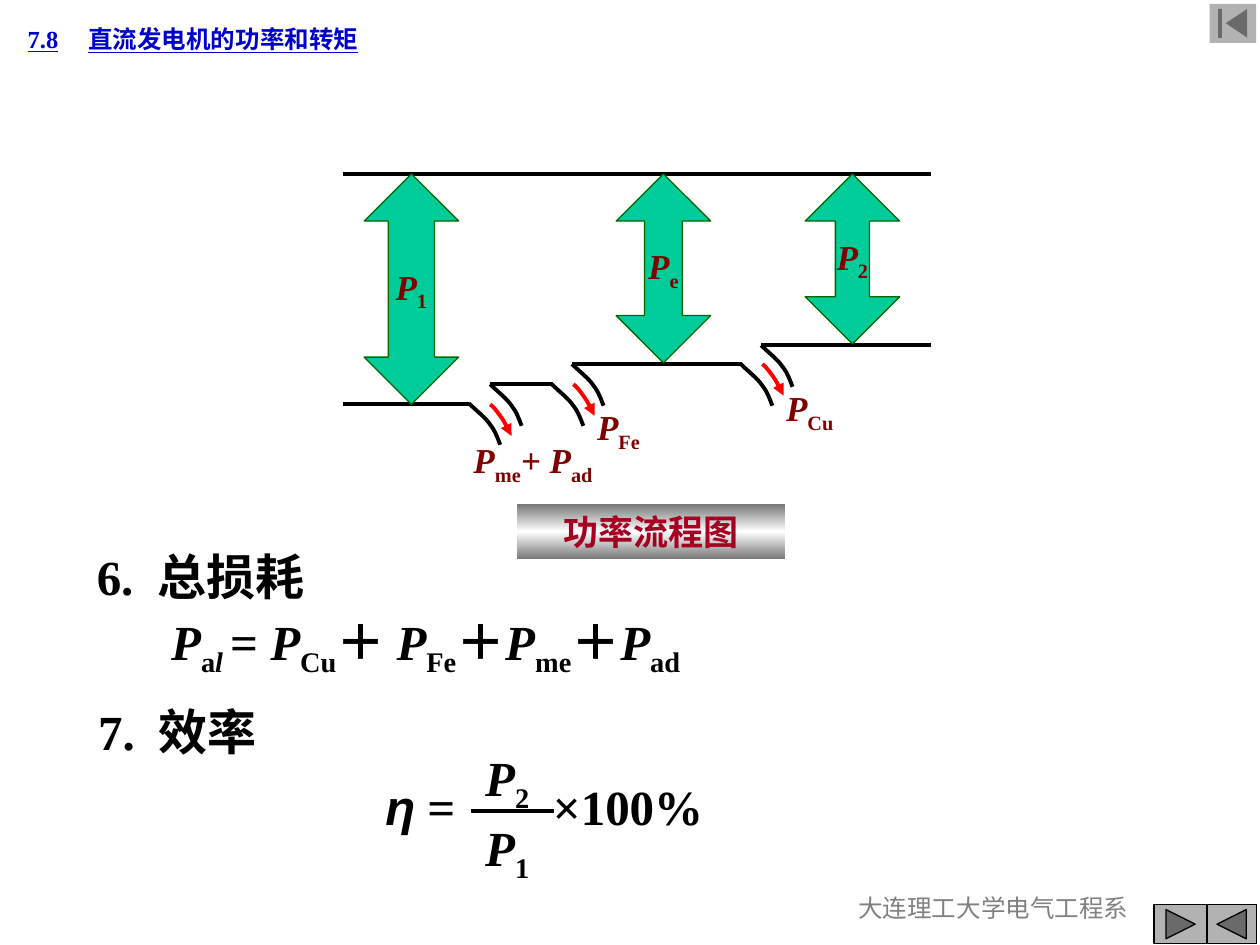
from copy import deepcopy

from lxml import etree
from pptx import Presentation
from pptx import util as u
from pptx.dml.color import RGBColor
from pptx.enum import shapes, text
from pptx.oxml.ns import qn

COLORS = {
    "ink": "000000", "label": "800000", "caption": "A50021", "title": "0000CC",
    "footer": "808080", "power": "00CC99", "power_edge": "006600",
    "loss": "FF0000", "button": "B2B2B2", "metal": "767676", "shine": "FFFFFF",
}
COLUMNS, ROWS = 100, 75
LEFT, CENTER = text.PP_ALIGN.LEFT, text.PP_ALIGN.CENTER
TOP, MIDDLE = text.MSO_ANCHOR.TOP, text.MSO_ANCHOR.MIDDLE

# Two joined cubic curves, as column and row offsets from the start.
EDGE_CURVE = [(0, 0), (0.6, 0.6), (1.3, 1.1), (1.7, 1.7), (2.1, 2.2), (2.3, 2.8), (2.5, 3.3)]
LOSS_CURVE = [(0, 0), (0.3, 0.2), (0.5, 0.5), (0.8, 0.9), (1.1, 1.3), (1.4, 1.9), (1.7, 2.5)]


def color(name):
    return RGBColor.from_string(COLORS[name])


def curve_points(controls, steps=8):
    """Sample joined cubic curves that share their end points."""
    points = [controls[0]]
    for first in range(0, len(controls) - 1, 3):
        for step in range(1, steps + 1):
            t = step / steps
            weights = ((1 - t) ** 3, 3 * t * (1 - t) ** 2, 3 * t * t * (1 - t), t ** 3)
            part = controls[first:first + 4]
            points.append(tuple(sum(w * p[axis] for w, p in zip(weights, part))
                                for axis in (0, 1)))
    return points


def quantity(symbol, index):
    """Spans of an italic symbol with an upright subscript."""
    return [(symbol, "i"), (index, "_")]


class Slide:
    font = "Times New Roman"

    def __init__(self, deck):
        self.page = deck.slides.add_slide(deck.slide_layouts[5])
        self.column = deck.slide_width / COLUMNS
        self.row = deck.slide_height / ROWS

    def place(self, *cells):
        """Turn alternating columns and rows into lengths."""
        return [u.Emu(round(cell * (self.row if i % 2 else self.column)))
                for i, cell in enumerate(cells)]

    def set_text(self, shape, paragraphs, size, ink, bold=True, align=LEFT, anchor=TOP,
                 wrap=True, gap=0, tab=None, indents=(), underline=None):
        """Fill a shape; each paragraph is a list of (text, marks) spans."""
        frame = shape.text_frame
        frame.word_wrap, frame.vertical_anchor = wrap, anchor
        frame.auto_size = text.MSO_AUTO_SIZE.NONE
        for number, spans in enumerate(paragraphs):
            para = frame.add_paragraph() if number else frame.paragraphs[0]
            para.alignment = align
            properties = para._p.get_or_add_pPr()
            if number < len(indents):
                properties.set("marL", str(self.place(indents[number])[0]))
            if tab:
                stops = etree.SubElement(properties, qn("a:tabLst"))
                etree.SubElement(stops, qn("a:tab"), pos=str(self.place(tab)[0]), algn="l")
            if number:
                para.space_before = u.Pt(gap)
            for words, marks in spans:
                span = para.add_run()
                span.text = words
                font = span.font
                font.name = "Arial" if "A" in marks else self.font
                font.size, font.bold = u.Pt(size), bold
                font.italic, font.underline = "i" in marks, underline
                font.color.rgb = color(ink)
                if "_" in marks:
                    span._r.get_or_add_rPr().set("baseline", "-25000")

    def title(self, cells, words, **style):
        box = self.page.shapes.title
        box.left, box.top, box.width, box.height = self.place(*cells)
        self.set_text(box, [[(words, "")]], **style)

    def label(self, cells, *paragraphs, **style):
        self.set_text(self.page.shapes.add_textbox(*self.place(*cells)), paragraphs, **style)

    def shape(self, kind, cells, fill, edge=None):
        item = self.page.shapes.add_shape(kind, *self.place(*cells))
        item.shadow.inherit = False
        item.fill.solid()
        item.fill.fore_color.rgb = color(fill)
        if edge:
            self.stroke(item, edge, 0.75)
        else:
            item.line.fill.background()
        return item

    def stroke(self, item, ink, width=2.25):
        item.line.color.rgb = color(ink)
        item.line.width = u.Pt(width)

    def line(self, start, end, row):
        item = self.page.shapes.add_connector(
            shapes.MSO_CONNECTOR.STRAIGHT, *self.place(start, row, end, row))
        self.stroke(item, "ink")
        etree.SubElement(item._element.spPr, qn("a:effectLst"))

    def curve(self, start, controls, ink="ink", arrow=False):
        points = [self.place(start[0] + x, start[1] + y) for x, y in curve_points(controls)]
        builder = self.page.shapes.build_freeform(*points[0])
        builder.add_line_segments(points[1:], close=False)
        item = builder.convert_to_shape()
        item.shadow.inherit = False
        item.fill.background()
        self.stroke(item, ink)
        if arrow:
            outline = item._element.spPr.find(qn("a:ln"))
            etree.SubElement(outline, qn("a:tailEnd"), type="triangle")

    def power_arrow(self, left, height, head, index):
        item = self.shape(shapes.MSO_SHAPE.UP_DOWN_ARROW, (left, 13.8, 7.5, height),
                          "power", "power_edge")
        item.adjustments[0], item.adjustments[1] = 0.5, head
        self.set_text(item, [quantity("P", index)], 20, "label",
                      align=CENTER, anchor=MIDDLE, wrap=False)

    def banner(self, cells, words):
        item = self.shape(shapes.MSO_SHAPE.RECTANGLE, cells, "metal")
        item.fill.gradient()
        stops = item._element.spPr.find(qn("a:gradFill")).find(qn("a:gsLst"))
        stops.append(deepcopy(stops[0]))
        for stop, place, ink in zip(item.fill.gradient_stops, (0, 0.5, 1),
                                    ("metal", "shine", "metal")):
            stop.position, stop.color.rgb = place, color(ink)
        item.fill.gradient_angle = 90
        self.set_text(item, [[(words, "")]], 20, "caption", align=CENTER)


def draw_power_flow(slide):
    for start, end, row in [(27.2, 73.9, 13.8), (27.2, 37.2, 32.1), (38.9, 43.9, 30.5),
                            (45.4, 58.9, 28.9), (60.4, 73.9, 27.4)]:
        slide.line(start, end, row)
    for start in [(37.2, 32), (38.9, 30.5), (43.8, 30.5), (45.4, 28.9),
                  (58.8, 28.9), (60.4, 27.4)]:
        slide.curve(start, EDGE_CURVE)
    for start in [(38.9, 32.1), (45.5, 30.5), (60.5, 28.9)]:
        slide.curve(start, LOSS_CURVE, "loss", arrow=True)
    for left, height, head, index in [(28.9, 18.3, 0.49, "1"), (48.9, 15, 0.4, "e"),
                                      (63.9, 13.5, 0.36, "2")]:
        slide.power_arrow(left, height, head, index)
    for cells, spans in [
        ((36.6, 34.3, 11.4, 4.8), quantity("P", "me") + quantity("+ P", "ad")),
        ((46.4, 31.7, 5.4, 4.8), quantity("P", "Fe")),
        ((61.4, 30.2, 5.7, 4.8), quantity("P", "Cu")),
    ]:
        slide.label(cells, spans, size=20, ink="label", wrap=False)
    slide.banner((41, 40, 21.3, 4.4), "功率流程图")


def draw_formulas(slide):
    style = {"size": 28, "ink": "ink"}
    total = [("P", "i"), ("a", "_"), ("l ", "i_"), ("=", "")] + quantity(" P", "Cu")
    for plus, index in [("＋ ", "Fe"), ("＋", "me"), ("＋", "ad")]:
        total += [(plus, "")] + quantity("P", index)
    slide.label((6.7, 42.9, 64.4, 11.5), [("6.\t总损耗", "")], total,
                gap=3.5, tab=4.8, indents=(0, 5.9), **style)
    slide.label((6.8, 55.2, 55.1, 5.7), [("7.\t效率", "")], tab=4.8, **style)
    slide.label((29.6, 61.1, 33.5, 5.7), [("η", "iA"), (" =\t×100%", "")], tab=13.3, **style)
    slide.line(37.4, 44, 64.4)
    slide.label((36.5, 58.8, 7.5, 11.9), quantity("P", "2"), quantity("P", "1"),
                gap=1.8, align=CENTER, **style)


def main():
    deck = Presentation()
    deck.slide_width, deck.slide_height = u.Inches(10), u.Inches(7.5)
    slide = Slide(deck)
    slide.title((1.2, 1.4, 35.2, 3.4), "7.8\t直流发电机的功率和转矩", size=14, ink="title",
                anchor=MIDDLE, tab=4.8, underline=True)
    slide.label((63, 70.4, 31.7, 5), [("大连理工大学电气工程系", "")],
                size=14, ink="footer", bold=False, align=CENTER)
    draw_power_flow(slide)
    draw_formulas(slide)
    kinds = shapes.MSO_SHAPE
    for kind, cells, edge in [
        (kinds.ACTION_BUTTON_FORWARD_OR_NEXT, (91.6, 71.8, 4.2, 3.1), "ink"),
        (kinds.ACTION_BUTTON_BACK_OR_PREVIOUS, (95.8, 71.8, 3.9, 3.1), "ink"),
        (kinds.ACTION_BUTTON_BEGINNING, (96, 0.3, 3.7, 3.1), None),
    ]:
        slide.shape(kind, cells, "button", edge)
    deck.save("out.pptx")


if __name__ == "__main__":
    main()
